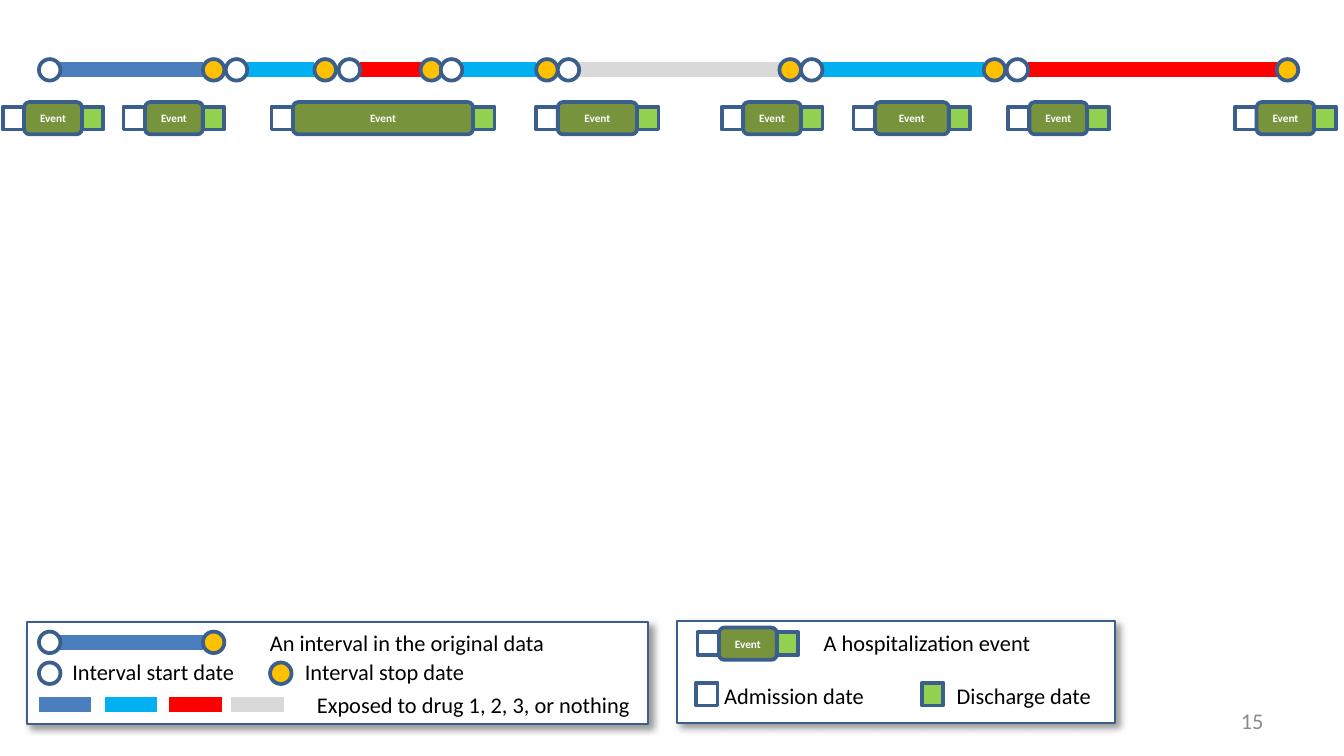
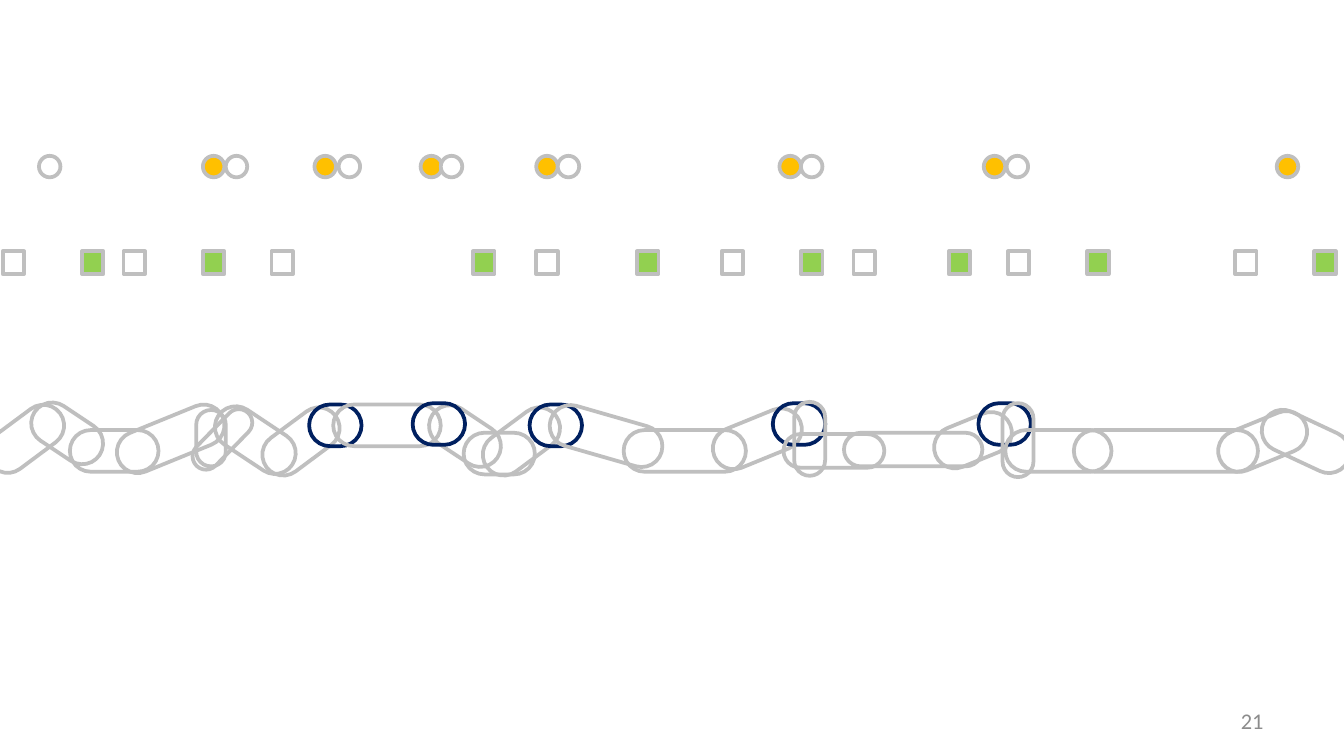
from typing import NamedTuple

from lxml.etree import SubElement
from pptx import Presentation
from pptx.dml.color import RGBColor
from pptx.enum.shapes import MSO_CONNECTOR, MSO_SHAPE
from pptx.enum.text import MSO_ANCHOR, PP_ALIGN
from pptx.oxml.ns import qn
from pptx.util import Inches, Pt

FONT = "Calibri"
WHITE = RGBColor(0xFF, 0xFF, 0xFF)
BLACK = RGBColor(0x00, 0x00, 0x00)
OUTLINE = RGBColor(0x3A, 0x5F, 0x8C)
GREY = RGBColor(0xBF, 0xBF, 0xBF)
NAVY = RGBColor(0x00, 0x20, 0x60)
NUMBER_GREY = RGBColor(0x8C, 0x8C, 0x8C)
STOP_GOLD = RGBColor(0xFF, 0xC0, 0x00)
EVENT_OLIVE = RGBColor(0x77, 0x93, 0x3C)
DISCHARGE_GREEN = RGBColor(0x92, 0xD0, 0x50)
DRUG_1 = RGBColor(0x4B, 0x7E, 0xBC)
DRUG_2 = RGBColor(0x00, 0xB0, 0xF0)
DRUG_3 = RGBColor(0xFF, 0x00, 0x00)
NO_DRUG = RGBColor(0xD9, 0xD9, 0xD9)

SLIDE_WIDTH = 10
SLIDE_HEIGHT = SLIDE_WIDTH * 9 / 16
MARK = 0.16          # width of every date mark
SQUARE_HEIGHT = 0.17
EVENT_HEIGHT = 0.24
SWATCH = 0.39

# Left edges of the start and stop marks, and the exposure between them
INTERVALS = [
    (0.29, 1.51, DRUG_1),
    (1.68, 2.34, DRUG_2),
    (2.52, 3.13, DRUG_3),
    (3.28, 3.99, DRUG_2),
    (4.15, 5.80, NO_DRUG),
    (5.96, 7.32, DRUG_2),
    (7.49, 9.50, DRUG_3),
]
# Left edges of the admission and discharge marks
EVENTS = [(0.02, 0.61), (0.92, 1.51), (2.02, 3.52), (3.99, 4.74),
          (5.37, 5.96), (6.35, 7.06), (7.50, 8.09), (9.19, 9.78)]

# Left, top, width, text
INTERVAL_LABELS = [
    (1.91, 4.63, 2.30, "An interval in the original data"),
    (0.44, 4.85, 1.42, "Interval start date"),
    (2.17, 4.85, 1.40, "Interval stop date"),
    (2.26, 5.09, 2.56, "Exposed to drug 1, 2, 3, or nothing"),
]
EVENT_LABELS = [
    (6.03, 4.63, 1.76, "A hospitalization event"),
    (5.29, 5.03, 1.25, "Admission date"),
    (7.02, 5.03, 1.21, "Discharge date"),
]
SWATCHES = [(0.29, DRUG_1), (0.78, DRUG_2), (1.26, DRUG_3), (1.72, NO_DRUG)]


class Link(NamedTuple):
    """One capsule of the chain that joins consecutive dates."""
    left: float
    top: float
    width: float
    height: float = 0.31
    rotation: float = 0
    color: RGBColor = GREY


def switch_link(left, top):
    """Highlighted link from a stop date straight to the next start date."""
    return Link(left, top, 0.39, color=NAVY)


RISE, STEEP_RISE, FALL, UPRIGHT = 337.8, 323.4, 33.6, 270
CHAIN = [
    Link(-0.13, 3.11, 0.64, rotation=STEEP_RISE),
    Link(3.17, 3.09, 0.58, rotation=FALL),
    Link(0.52, 3.20, 0.66),
    Link(0.85, 3.11, 0.84, rotation=RISE),
    Link(1.36, 3.15, 0.42, 0.22, UPRIGHT),
    Link(1.38, 3.17, 0.55, 0.20, 314.3),
    Link(1.57, 3.12, 0.66, rotation=FALL),
    Link(1.92, 3.13, 0.64, rotation=STEEP_RISE),
    switch_link(2.30, 3.01),
    Link(2.48, 3.01, 0.80),
    switch_link(3.07, 3.00),
    Link(3.45, 3.22, 0.53),
    Link(3.56, 3.13, 0.64, rotation=STEEP_RISE),
    switch_link(3.94, 3.01),
    Link(4.08, 3.09, 0.86, rotation=16),
    Link(4.64, 3.20, 0.91),
    Link(5.29, 3.11, 0.69, rotation=RISE),
    switch_link(5.75, 3.00),
    Link(5.75, 3.15, 0.55, 0.23, UPRIGHT),
    Link(0.21, 3.07, 0.58, rotation=FALL),
    Link(5.83, 3.23, 0.75, 0.25),
    Link(6.28, 3.22, 1.03, 0.25),
    Link(6.94, 3.12, 0.60, rotation=RISE),
    switch_link(7.28, 3.00),
    Link(7.30, 3.16, 0.55, 0.23, UPRIGHT),
    Link(7.48, 3.20, 0.79),
    Link(7.99, 3.20, 1.37),
    Link(9.05, 3.13, 0.69, rotation=RISE),
    Link(9.37, 3.13, 0.69, rotation=25.1),
]


def add_outlined(shapes, kind, left, top, width, height, fill, line, points=2):
    shape = shapes.add_shape(kind, Inches(left), Inches(top),
                             Inches(width), Inches(height))
    shape.shadow.inherit = False
    if fill is None:
        shape.fill.background()
    else:
        shape.fill.solid()
        shape.fill.fore_color.rgb = fill
    shape.line.color.rgb = line
    shape.line.width = Pt(points)
    return shape


def add_circle(shapes, left, top, fill, line=OUTLINE):
    add_outlined(shapes, MSO_SHAPE.OVAL, left, top, MARK, MARK, fill, line)


def add_square(shapes, left, top, fill, line=OUTLINE):
    add_outlined(shapes, MSO_SHAPE.RECTANGLE, left, top, MARK, SQUARE_HEIGHT,
                 fill, line)


def add_bar(shapes, left, right, y, color):
    bar = shapes.add_connector(MSO_CONNECTOR.STRAIGHT, Inches(left), Inches(y),
                               Inches(right), Inches(y))
    bar.line.color.rgb = color
    bar.line.width = Pt(8)
    SubElement(bar._element.spPr, qn("a:effectLst"))


def set_text(shape, text, size, color, align=PP_ALIGN.LEFT, bold=False):
    paragraph = shape.text_frame.paragraphs[0]
    paragraph.text = text
    paragraph.alignment = align
    paragraph.font.name = FONT
    paragraph.font.size = Pt(size)
    paragraph.font.bold = bold
    paragraph.font.color.rgb = color


def add_interval(shapes, start, stop, top, color):
    add_bar(shapes, start + MARK, stop, top + MARK / 2, color)
    add_circle(shapes, start, top, WHITE)
    add_circle(shapes, stop, top, STOP_GOLD)


def add_event(shapes, admission, discharge, top):
    left = admission + MARK
    event = add_outlined(shapes, MSO_SHAPE.ROUNDED_RECTANGLE, left, top,
                         discharge - left, EVENT_HEIGHT, EVENT_OLIVE, OUTLINE)
    event.text_frame.word_wrap = False
    event.text_frame.vertical_anchor = MSO_ANCHOR.MIDDLE
    set_text(event, "Event", 6, WHITE, PP_ALIGN.CENTER, bold=True)
    square_top = top + (EVENT_HEIGHT - SQUARE_HEIGHT) / 2
    add_square(shapes, admission, square_top, None)
    add_square(shapes, discharge, square_top, DISCHARGE_GREEN)


def add_legend_panel(shapes, left, top, width, labels):
    panel = add_outlined(shapes, MSO_SHAPE.RECTANGLE, left, top, width, 0.76,
                         WHITE, OUTLINE, points=1)
    effects = panel._element.spPr.find(qn("a:effectLst"))
    shadow = SubElement(effects, qn("a:outerShdw"), blurRad=str(Pt(4)),
                        dist=str(Pt(3)), dir=str(45 * 60000), algn="tl",
                        rotWithShape="0")
    color = SubElement(shadow, qn("a:srgbClr"), val=str(BLACK))
    SubElement(color, qn("a:alpha"), val="40000")
    for label_left, label_top, label_width, text in labels:
        label = shapes.add_textbox(Inches(label_left), Inches(label_top),
                                   Inches(label_width), Inches(0.3))
        label.text_frame.word_wrap = False
        set_text(label, text, 12, BLACK)


def add_slide(presentation, number):
    """Add a blank slide with its number at the bottom right."""
    slide = presentation.slides.add_slide(presentation.slide_layouts[6])
    box = slide.shapes.add_textbox(Inches(7.17), Inches(5.21),
                                   Inches(2.33), Inches(0.3))
    box.text_frame.word_wrap = True
    box.text_frame.vertical_anchor = MSO_ANCHOR.MIDDLE
    set_text(box, str(number), 12, NUMBER_GREY, PP_ALIGN.RIGHT)
    return slide


def add_group(slide):
    return slide.shapes.add_group_shape().shapes


def build_timeline(presentation):
    slide = add_slide(presentation, 15)
    intervals = add_group(slide)
    for start, stop, color in INTERVALS:
        add_interval(intervals, start, stop, 0.44, color)

    legend = add_group(slide)
    add_legend_panel(legend, 0.2, 4.63, 4.62, INTERVAL_LABELS)
    add_interval(legend, 0.29, 1.51, 4.7, DRUG_1)
    add_circle(legend, 0.29, 4.93, WHITE)
    add_circle(legend, 2.01, 4.93, STOP_GOLD)
    for left, color in SWATCHES:
        add_bar(legend, left, left + SWATCH, 5.24, color)

    events = add_group(slide)
    for admission, discharge in EVENTS:
        add_event(events, admission, discharge, 0.76)

    legend = add_group(slide)
    add_legend_panel(legend, 5.04, 4.62, 3.26, EVENT_LABELS)
    add_event(legend, 5.19, 5.78, 4.67)
    add_square(legend, 5.18, 5.08, None)
    add_square(legend, 6.86, 5.08, DISCHARGE_GREEN)


def build_chain(presentation):
    shapes = add_slide(presentation, 21).shapes
    for start, stop, _ in INTERVALS:
        add_circle(shapes, start, 1.16, WHITE, GREY)
        add_circle(shapes, stop, 1.16, STOP_GOLD, GREY)
    for admission, discharge in EVENTS:
        add_square(shapes, admission, 1.87, None, GREY)
        add_square(shapes, discharge, 1.87, DISCHARGE_GREEN, GREY)
    for link in CHAIN:
        capsule = add_outlined(shapes, MSO_SHAPE.ROUNDED_RECTANGLE, link.left,
                               link.top, link.width, link.height, None,
                               link.color)
        capsule.adjustments[0] = 0.5
        capsule.rotation = link.rotation


def main():
    presentation = Presentation()
    presentation.slide_width = Inches(SLIDE_WIDTH)
    presentation.slide_height = Inches(SLIDE_HEIGHT)
    build_timeline(presentation)
    build_chain(presentation)
    presentation.save("out.pptx")


if __name__ == "__main__":
    main()
